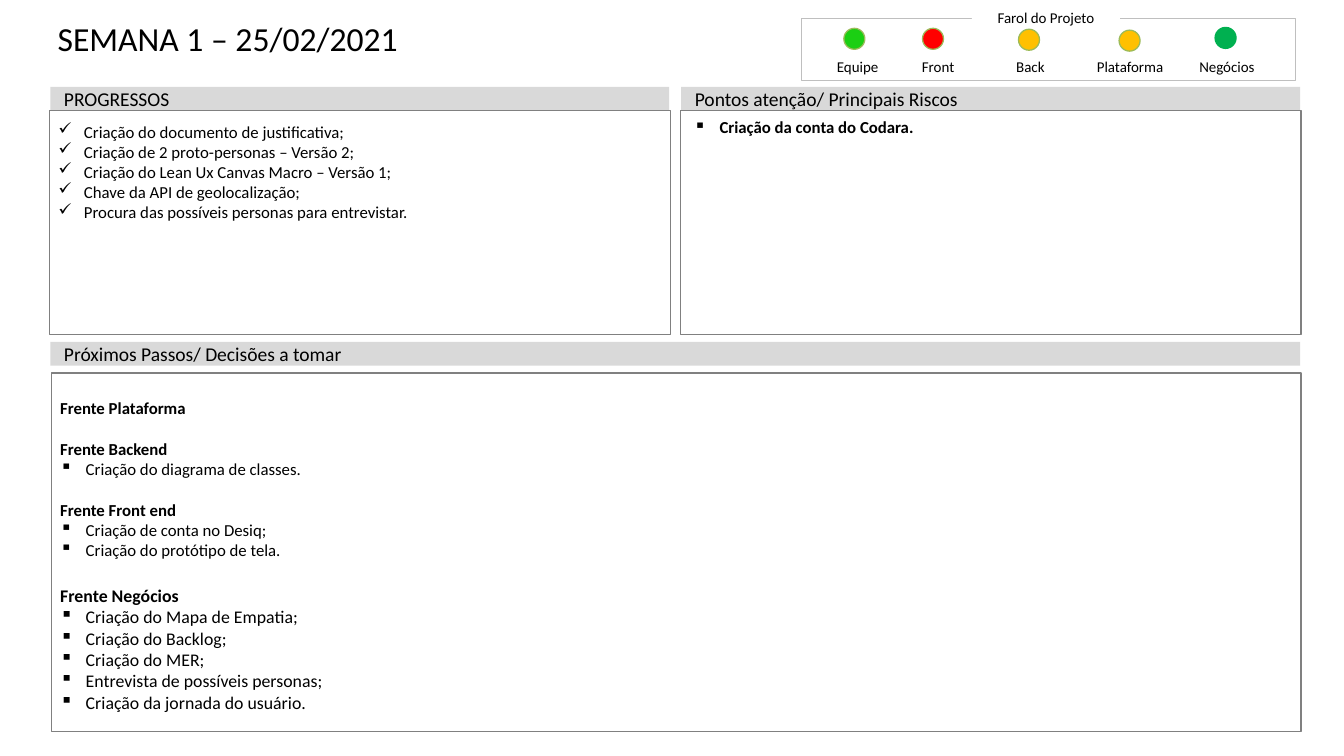
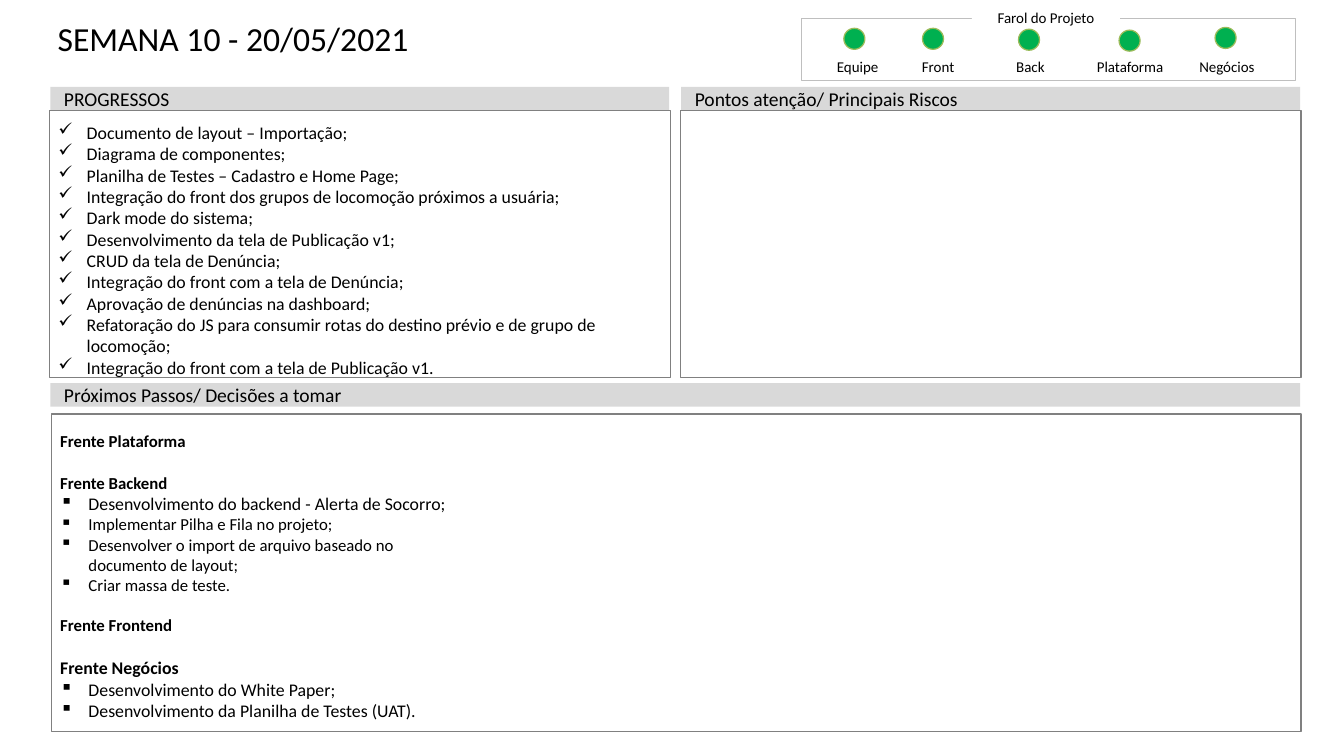
from collections import namedtuple

from lxml.etree import SubElement
from pptx import Presentation
from pptx.dml.color import RGBColor
from pptx.enum.shapes import MSO_SHAPE
from pptx.enum.text import MSO_ANCHOR, MSO_AUTO_SIZE, PP_ALIGN
from pptx.oxml.ns import qn
from pptx.util import Inches, Pt

FONT = "Calibri"
BLACK, WHITE, BAND, BORDER, FRAME = "000000", "FFFFFF", "D9D9D9", "808080", "BFBFBF"
LIME, RED, AMBER, GREEN, OLIVE = "1BCF13", "FF0000", "FFC000", "00B050", "9BBB59"
CHECK, SQUARE = "✓", "▪"
BODY, LARGE = 13.2, 14

SLIDE_W, SLIDE_H = 14.7, 8.27
LEFT, RIGHT, BOTTOM = 0.54, 14.23, 8.0
GUTTER = 0.11
COL_W = (RIGHT - LEFT - GUTTER) / 2
COL_X = [LEFT + i * (COL_W + GUTTER) for i in range(2)]
BAND_Y, BAND_H, BAND_GAP = 0.95, 0.26, 0.08

Line = namedtuple("Line", "text size mark bold before")
Lamp = namedtuple("Lamp", "label label_x x y")
LAMPS = [
    Lamp("Equipe", 0.12, 0.46, 0.11),
    Lamp("Front", 1.0, 1.32, 0.11),
    Lamp("Back", 2.01, 2.37, 0.12),
    Lamp("Plataforma", 3.1, 3.47, 0.13),
    Lamp("Negócios", 4.16, 4.52, 0.1),
]


def head(text, size=BODY, gap=0):
    return [Line(text, size, None, True, gap * 1.22)]


def bullets(*texts, size=BODY, mark=SQUARE, bold=False):
    return [Line(text, size, mark, bold, 0) for text in texts]


def rgb(value):
    return RGBColor.from_string(value)


def add_box(s, x, y, w, h, fill=None, line=None, width=1, kind=MSO_SHAPE.RECTANGLE):
    sp = s.shapes.add_shape(kind, Inches(x), Inches(y), Inches(w), Inches(h))
    sp.shadow.inherit = False
    if fill:
        sp.fill.solid()
        sp.fill.fore_color.rgb = rgb(fill)
    else:
        sp.fill.background()
    if line:
        sp.line.color.rgb = rgb(line)
        sp.line.width = Pt(width)
    else:
        sp.line.fill.background()
    return sp


def set_frame(tf, insets, anchor, wrap=True):
    tf.margin_left, tf.margin_top, tf.margin_right, tf.margin_bottom = map(Inches, insets)
    tf.vertical_anchor = anchor
    tf.word_wrap = wrap
    tf.auto_size = MSO_AUTO_SIZE.NONE


def add_run(p, text, size, bold=False, align=PP_ALIGN.LEFT):
    p.alignment = align
    r = p.add_run()
    r.text = text
    r.font.name = FONT
    r.font.size = Pt(size)
    r.font.bold = bold
    r.font.color.rgb = rgb(BLACK)


def set_bullet(p, mark, indent):
    pPr = p._p.get_or_add_pPr()
    pPr.set("marL", str(Inches(indent)))
    pPr.set("indent", str(-Inches(indent)))
    SubElement(pPr, qn("a:buChar")).set("char", mark)


def add_title(s, text):
    sp = s.shapes.title
    sp.left, sp.top, sp.width, sp.height = map(Inches, (0.51, 0.2, 0.9 * SLIDE_W, 0.88))
    set_frame(sp.text_frame, (0.12, 0, 0.12, 0), MSO_ANCHOR.TOP)
    p = sp.text_frame.paragraphs[0]
    p.space_after = Pt(8.8)
    add_run(p, text, 26.5)


def add_caption(sp, text):
    set_frame(sp.text_frame, (0.06, 0.06, 0.06, 0), MSO_ANCHOR.BOTTOM, wrap=False)
    add_run(sp.text_frame.paragraphs[0], text, 11.8, align=PP_ALIGN.CENTER)


def add_status(s, x, y, w, h, colours):
    add_box(s, x, y, w, h, line=FRAME, width=0.5)
    caption_w = 0.3 * w
    caption = add_box(s, x + (w - caption_w) / 2 - 0.03, y - 0.14, caption_w, 0.23, fill=WHITE)
    add_caption(caption, "Farol do Projeto")
    for lamp, (fill, line) in zip(LAMPS, colours):
        add_box(s, x + lamp.x, y + lamp.y, 0.23, 0.23, fill, line, kind=MSO_SHAPE.OVAL)
        label = s.shapes.add_textbox(Inches(x + lamp.label_x), Inches(y + 0.43),
                                     Inches(0.98), Inches(0.2))
        add_caption(label, lamp.label)


def add_band(s, x, y, w, text):
    sp = add_box(s, x + 0.01, y, w - 0.02, BAND_H, fill=BAND)
    set_frame(sp.text_frame, (0.15, 0.07, 0.15, 0.07), MSO_ANCHOR.MIDDLE)
    add_run(sp.text_frame.paragraphs[0], text, 15.4)


def add_panel(s, x, y, w, h, lines, indent, insets=(0.1, 0.12, 0.1, 0.05),
              anchor=MSO_ANCHOR.TOP, columns=1):
    sp = add_box(s, x, y, w, h, line=BORDER)
    tf = sp.text_frame
    set_frame(tf, insets, anchor)
    if columns > 1:
        sp._element.txBody.bodyPr.set("numCol", str(columns))
    for i, line in enumerate(lines):
        p = tf.add_paragraph() if i else tf.paragraphs[0]
        if line.mark:
            set_bullet(p, line.mark, indent)
        if line.before:
            p.space_before = Pt(round(line.before, 1))
        add_run(p, line.text, line.size, line.bold)


def add_week(prs, title, colours, progress, risks, steps, panel_h, steps_y, indent):
    s = prs.slides.add_slide(prs.slide_layouts[5])
    add_title(s, title)
    add_status(s, 8.77, 0.2, 5.4, 0.68, colours)
    panel_y = BAND_Y + BAND_H
    add_band(s, COL_X[0], BAND_Y, COL_W, "PROGRESSOS")
    add_panel(s, COL_X[0], panel_y, COL_W, panel_h, progress, indent)
    add_band(s, COL_X[1], BAND_Y, COL_W, "Pontos atenção/ Principais Riscos")
    add_panel(s, COL_X[1], panel_y, COL_W, panel_h, risks, indent, (0.15, 0.07, 0.1, 0.05))
    add_band(s, LEFT, steps_y, RIGHT - LEFT, "Próximos Passos/ Decisões a tomar")
    top = steps_y + BAND_H + BAND_GAP
    add_panel(s, LEFT + 0.02, top, RIGHT - LEFT - 0.02, BOTTOM - top, steps, indent,
              anchor=MSO_ANCHOR.MIDDLE, columns=3)


prs = Presentation()
prs.slide_width, prs.slide_height = Inches(SLIDE_W), Inches(SLIDE_H)

add_week(
    prs, "SEMANA 1 – 25/02/2021",
    [(LIME, OLIVE), (RED, OLIVE), (AMBER, OLIVE), (AMBER, OLIVE), (GREEN, GREEN)],
    progress=bullets(
        "Criação do documento de justificativa;",
        "Criação de 2 proto-personas – Versão 2;",
        "Criação do Lean Ux Canvas Macro – Versão 1;",
        "Chave da API de geolocalização;",
        "Procura das possíveis personas para entrevistar.",
        mark=CHECK),
    risks=bullets("Criação da conta do Codara.", bold=True),
    steps=head("Frente Plataforma")
    + head("Frente Backend", gap=BODY)
    + bullets("Criação do diagrama de classes.")
    + head("Frente Front end", gap=BODY)
    + bullets("Criação de conta no Desiq;", "Criação do protótipo de tela.")
    + head("Frente Negócios", LARGE, gap=16)
    + bullets(
        "Criação do Mapa de Empatia;",
        "Criação do Backlog;",
        "Criação do MER;",
        "Entrevista de possíveis personas;",
        "Criação da jornada do usuário.",
        size=LARGE),
    panel_h=2.45, steps_y=3.74, indent=0.28)

add_week(
    prs, "SEMANA 10 - 20/05/2021",
    [(GREEN, OLIVE)] * len(LAMPS),
    progress=bullets(
        "Documento de layout – Importação;",
        "Diagrama de componentes;",
        "Planilha de Testes – Cadastro e Home Page;",
        "Integração do front dos grupos de locomoção próximos a usuária;",
        "Dark mode do sistema;",
        "Desenvolvimento da tela de Publicação v1;",
        "CRUD da tela de Denúncia;",
        "Integração do front com a tela de Denúncia;",
        "Aprovação de denúncias na dashboard;",
        "Refatoração do JS para consumir rotas do destino prévio e de grupo de locomoção;",
        "Integração do front com a tela de Publicação v1.",
        size=LARGE, mark=CHECK),
    risks=[],
    steps=head("Frente Plataforma")
    + head("Frente Backend", gap=LARGE)
    + bullets("Desenvolvimento do backend - Alerta de Socorro;", size=LARGE)
    + bullets(
        "Implementar Pilha e Fila no projeto;",
        "Desenvolver o import de arquivo baseado no documento de layout;",
        "Criar massa de teste.")
    + head("Frente Frontend", gap=BODY)
    + head("Frente Negócios", LARGE, gap=LARGE)
    + bullets(
        "Desenvolvimento do White Paper;",
        "Desenvolvimento da Planilha de Testes (UAT).",
        size=LARGE),
    panel_h=2.92, steps_y=4.19, indent=0.31)

prs.save("out.pptx")
